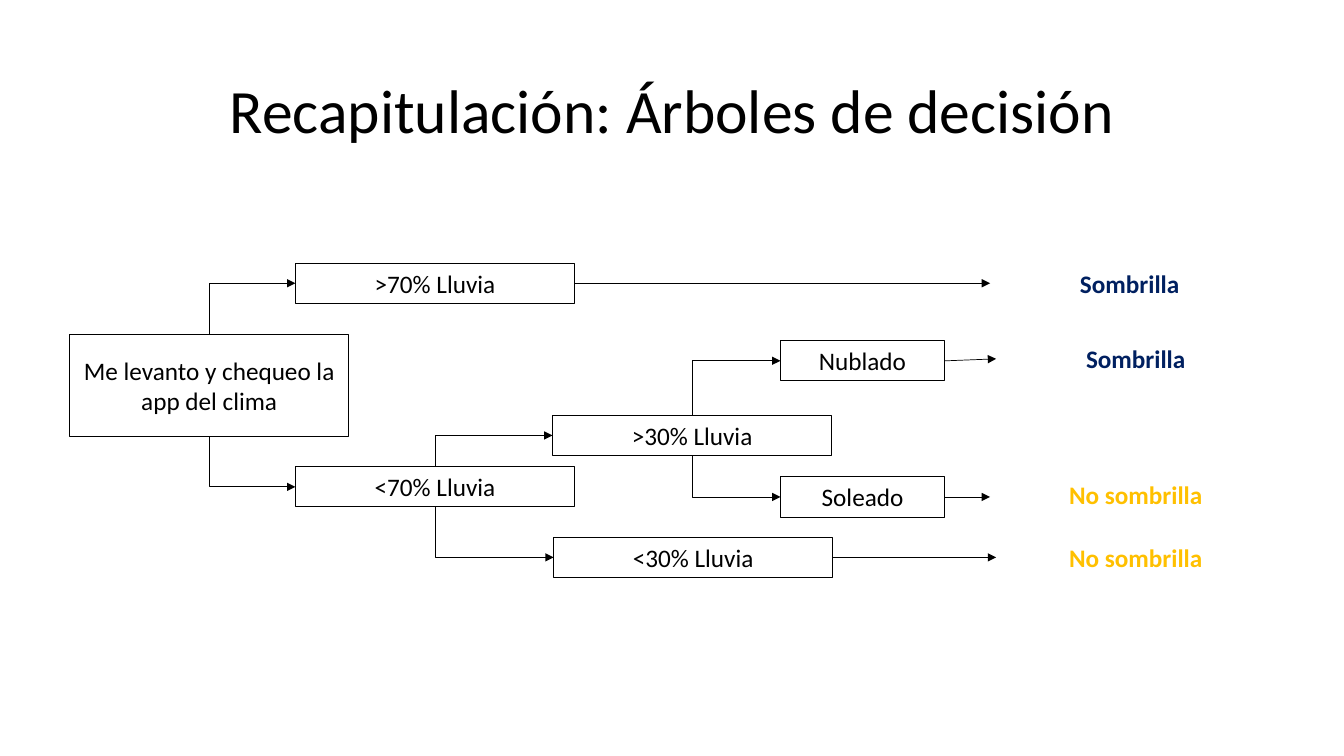
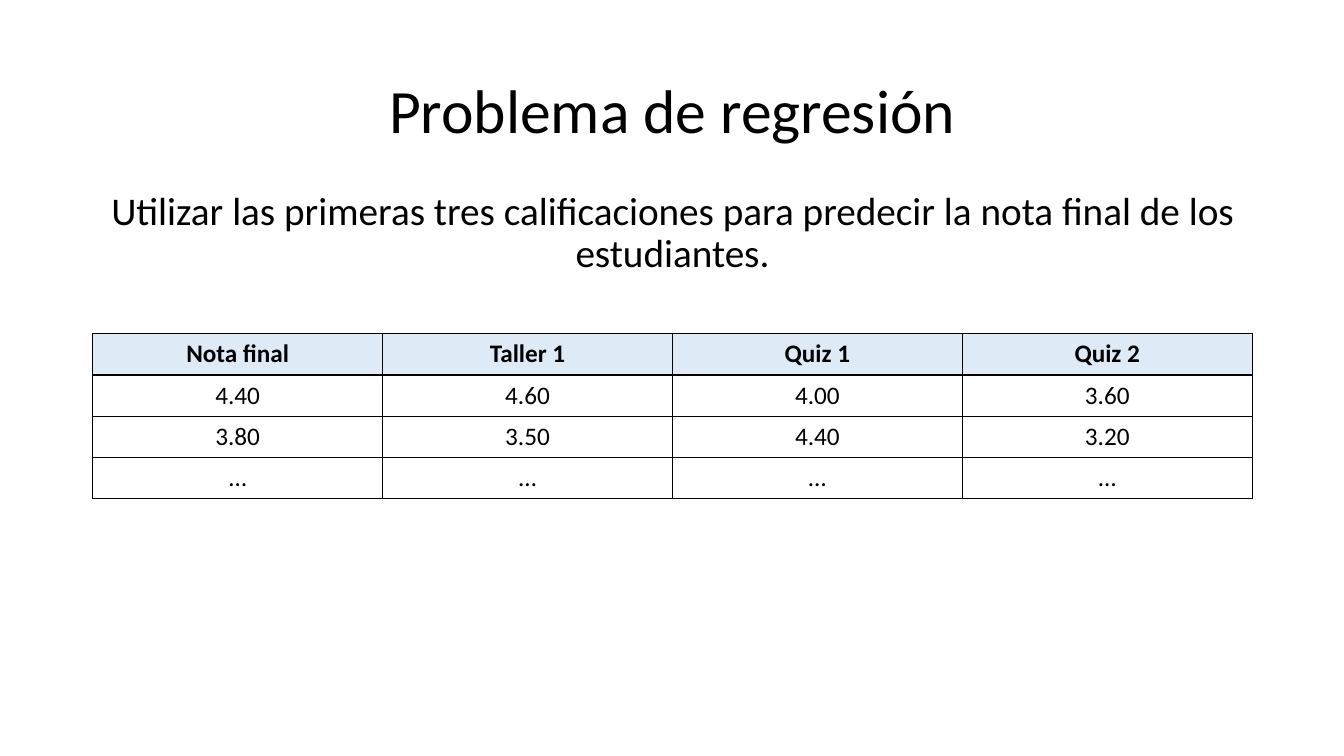
from lxml.etree import SubElement
from pptx import Presentation
from pptx.dml.color import RGBColor
from pptx.enum.shapes import MSO_CONNECTOR, MSO_SHAPE
from pptx.enum.text import MSO_ANCHOR, PP_ALIGN
from pptx.oxml.ns import qn
from pptx.util import Inches, Pt


class Deck:
    """Hold the shared style and draw on the current slide."""

    FONT = "Calibri"
    HUES = {"ink": "000000", "navy": "002060", "gold": "FFC000", "head": "DEEBF7"}
    LEFT, WIDE = 0.92, 11.5

    def __init__(self):
        self.prs = Presentation()
        self.prs.slide_width = Inches(13.33)
        self.prs.slide_height = Inches(7.5)
        self.slide = None

    def hue(self, name):
        return RGBColor.from_string(self.HUES[name])

    def put(self, frame, text, size=18, hue="ink", bold=False, space=None):
        frame.word_wrap = True
        para = frame.paragraphs[0]
        para.alignment = PP_ALIGN.CENTER
        para.line_spacing = space
        run = para.add_run()
        run.text = text
        font = run.font
        font.name, font.size, font.bold = self.FONT, Pt(size), bold
        font.color.rgb = self.hue(hue)
        return para

    def page(self, title):
        self.slide = self.prs.slides.add_slide(self.prs.slide_layouts[5])
        head = self.slide.shapes.title
        head.left, head.top = Inches(self.LEFT), Inches(0.4)
        head.width, head.height = Inches(self.WIDE), Inches(1.45)
        head.text_frame.vertical_anchor = MSO_ANCHOR.MIDDLE
        self.put(head.text_frame, title, 44, space=0.9)

    def box(self, text, left, top, width=2.77, height=0.4):
        shape = self.slide.shapes.add_shape(
            MSO_SHAPE.RECTANGLE, Inches(left), Inches(top), Inches(width), Inches(height))
        shape.shadow.inherit = False
        shape.fill.background()
        shape.line.color.rgb = self.hue("ink")
        shape.line.width = Pt(0.75)
        shape.text_frame.vertical_anchor = MSO_ANCHOR.MIDDLE
        self.put(shape.text_frame, text)
        return shape

    def label(self, text, left, top, hue):
        shape = self.slide.shapes.add_textbox(
            Inches(left), Inches(top), Inches(2.77), Inches(0.4))
        shape.text_frame.vertical_anchor = MSO_ANCHOR.MIDDLE
        self.put(shape.text_frame, text, hue=hue, bold=True)
        return shape

    def lead(self, text, top, height):
        shape = self.slide.shapes.add_textbox(
            Inches(self.LEFT), Inches(top), Inches(self.WIDE), Inches(height))
        para = self.put(shape.text_frame, text, 28, space=0.9)
        para.space_before = Pt(10)

    def link(self, kind, x1, y1, x2, y2):
        line = self.slide.shapes.add_connector(kind, x1, y1, x2, y2)
        line.line.color.rgb = self.hue("ink")
        line.line.width = Pt(0.5)
        props = line._element.spPr
        SubElement(props.find(qn("a:ln")), qn("a:tailEnd"), type="triangle")
        SubElement(props, qn("a:effectLst"))
        return line

    def arrow(self, box, goal, tip=None):
        x, y = box.left + box.width, box.top + box.height // 2
        end = Inches(tip) if tip else goal.left
        line = self.link(MSO_CONNECTOR.STRAIGHT, x, y, end, y)
        line.begin_connect(box, 3)
        if not tip:
            line.end_connect(goal, 1)

    def branch(self, box, goal):
        rise = goal.top < box.top
        x1 = box.left + box.width // 2
        y1 = box.top if rise else box.top + box.height
        x2, y2 = goal.left, goal.top + goal.height // 2
        line = self.link(MSO_CONNECTOR.ELBOW, x1, y1, x2, y2)
        line.begin_connect(box, 0 if rise else 2)
        line.end_connect(goal, 1)
        across, down = x2 - x1, abs(y2 - y1)
        line.left = (x1 + x2 - down) // 2
        line.top = (y1 + y2 - across) // 2
        line.width, line.height = down, across
        props = line._element.spPr
        props.find(qn("a:prstGeom")).set("prst", "bentConnector2")
        frame = props.find(qn("a:xfrm"))
        frame.set("rot", "5400000" if rise else "16200000")
        frame.set("flipH", "1")
        frame.set("flipV", "1" if rise else "0")

    def edge(self, cell):
        props = cell._tc.get_or_add_tcPr()
        for side in ("lnL", "lnR", "lnT", "lnB"):
            line = SubElement(props, qn(f"a:{side}"), w=str(int(Pt(1))))
            fill = SubElement(line, qn("a:solidFill"))
            SubElement(fill, qn("a:srgbClr"), val=self.HUES["ink"])

    def grid(self, rows, top, height):
        table = self.slide.shapes.add_table(
            len(rows), len(rows[0]), Inches(self.LEFT), Inches(top),
            Inches(self.WIDE), Inches(height * len(rows))).table
        for r, row in enumerate(rows):
            table.rows[r].height = Inches(height)
            for c, text in enumerate(row):
                cell = table.cell(r, c)
                self.edge(cell)
                if r == 0:
                    cell.fill.solid()
                    cell.fill.fore_color.rgb = self.hue("head")
                else:
                    cell.fill.background()
                    cell.vertical_anchor = MSO_ANCHOR.MIDDLE
                self.put(cell.text_frame, text, bold=r == 0)


def tree(deck):
    """Draw the umbrella decision tree."""
    deck.page("Recapitulación: Árboles de decisión")
    root = deck.box("Me levanto y chequeo la app del clima", 0.69, 3.32, height=1.01)
    wet = deck.box(">70% Lluvia", 2.93, 2.61)
    dry = deck.box("<70% Lluvia", 2.93, 4.63)
    more = deck.box(">30% Lluvia", 5.48, 4.12)
    less = deck.box("<30% Lluvia", 5.49, 5.33)
    cloud = deck.box("Nublado", 7.74, 3.38, 1.63)
    sun = deck.box("Soleado", 7.74, 4.73, 1.63)
    for box, goals in ((root, (wet, dry)), (dry, (more, less)), (more, (cloud, sun))):
        for goal in goals:
            deck.branch(box, goal)
    ends = (
        (wet, "Sombrilla", 9.82, 2.61, "navy", None),
        (cloud, "Sombrilla", 9.88, 3.36, "navy", None),
        (sun, "No sombrilla", 9.88, 4.71, "gold", 9.82),
        (less, "No sombrilla", 9.88, 5.33, "gold", None),
    )
    for box, text, left, top, hue, tip in ends:
        deck.arrow(box, deck.label(text, left, top, hue), tip)


def grades(deck):
    """Show the regression task and its sample grades."""
    deck.page("Problema de regresión")
    rows = (
        ("Nota final", "Taller 1", "Quiz 1", "Quiz 2"),
        ("4.40", "4.60", "4.00", "3.60"),
        ("3.80", "3.50", "4.40", "3.20"),
        ("…",) * 4,
    )
    deck.grid(rows, 3.31, 0.41)
    deck.lead("Utilizar las primeras tres calificaciones para predecir "
              "la nota final de los estudiantes.", 1.85, 1.06)


def main():
    """Build and save the deck."""
    deck = Deck()
    tree(deck)
    grades(deck)
    deck.prs.save("out.pptx")


if __name__ == "__main__":
    main()
